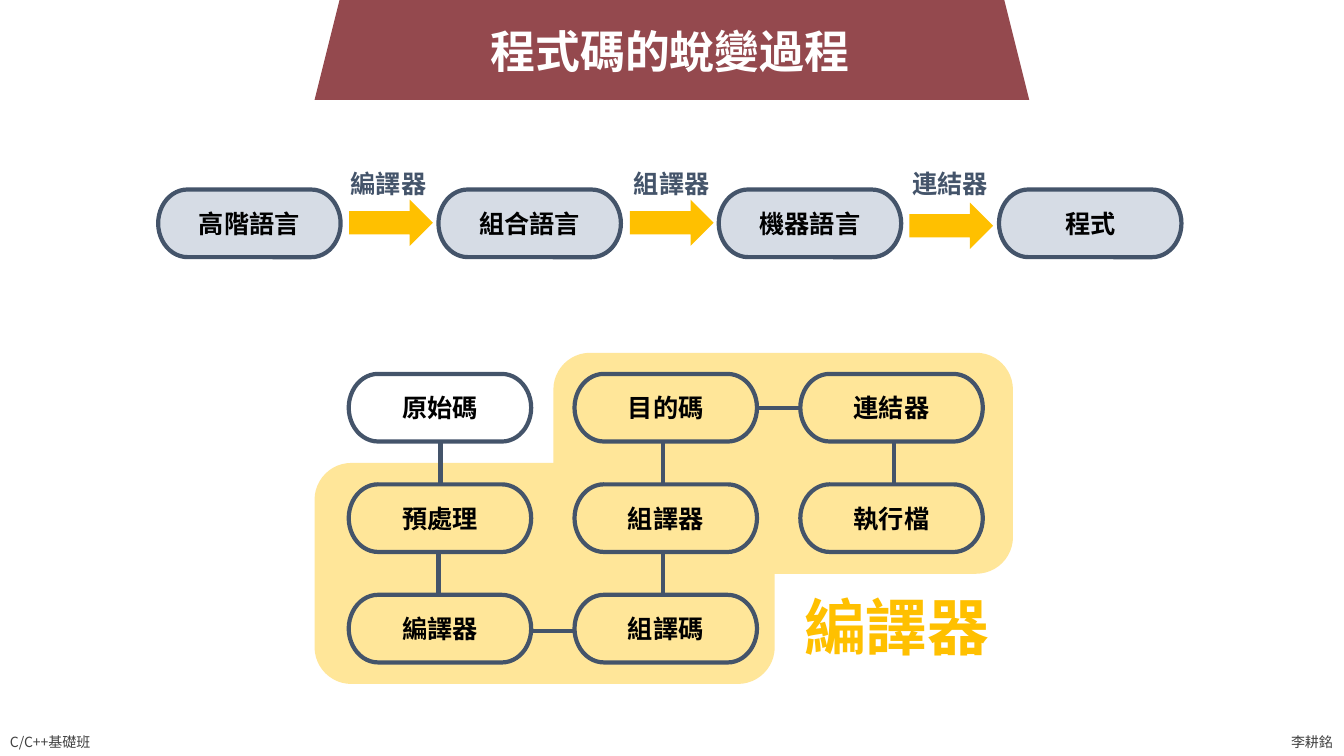
import pptx
import pptx.dml.color
import pptx.enum.shapes
import pptx.enum.text
import pptx.oxml.ns
import pptx.util
from lxml import etree

Pt = pptx.util.Pt
SHAPES = pptx.enum.shapes.MSO_SHAPE
ALIGN = pptx.enum.text.PP_ALIGN
ANCHOR = pptx.enum.text.MSO_ANCHOR

# Content: text, left, top, width, height, size, colour, bold
FONT = "Noto Sans CJK TC"
SLATE, GOLD, GREY = "44546A", "FFC000", "404040"
TEXTS = [
    ("程式碼的蛻變過程", 343.4, 13, 272.9, 46, 32, "FFFFFF", True),
    ("編譯器", 567.4, 416.9, 147.6, 60.5, 44, GOLD, True),
    ("C/C++基礎班", 0, 520.6, 77, 19.4, 10, GREY, False),
    ("李耕銘", 915.1, 520.6, 44.6, 19.4, 10, GREY, False),
]
STAGES = ["高階語言", "組合語言", "機器語言", "程式"]
# Tool, label left, arrow left, arrow top
TOOLS = [
    ("編譯器", 243.4, 249.4, 142.6),
    ("組譯器", 445.7, 450, 142.6),
    ("連結器", 644.4, 649.6, 144.7),
]
COLUMNS = [
    ["原始碼", "預處理", "編譯器"],
    ["目的碼", "組譯器", "組譯碼"],
    ["連結器", "執行檔"],
]
PANELS = [(395.3, 252, 328.3, 157.9), (224.7, 330.7, 328.7, 157.9)]
# Links down: x, row above; links across: y, column before
DOWN_LINKS = [(314.6, 0), (313.2, 1), (473.8, 0), (473.8, 1), (638.6, 0)]
ACROSS_LINKS = [(291.6, 1), (450.7, 0)]

# Layout
PILL_W, PILL_H = 130.3, 48.3
STAGE_LEFT, STAGE_TOP, STAGE_STEP = 113, 135.4, 200.2
GRID_LEFT, GRID_TOP, COLUMN_STEP, ROW_STEP = 249.1, 267.1, 161.3, 78.9

deck = pptx.Presentation()
deck.slide_width, deck.slide_height = Pt(960), Pt(540)
page = deck.slides.add_slide(deck.slide_layouts[6])


def colour(code):
    return pptx.dml.color.RGBColor.from_string(code)


def write(frame, text, size, code, bold=True, align=ALIGN.CENTER):
    frame.text = text
    frame.word_wrap = False
    frame.vertical_anchor = ANCHOR.MIDDLE
    para = frame.paragraphs[0]
    para.alignment = align
    span = para.runs[0]
    span.font.size, span.font.bold, span.font.name = Pt(size), bold, FONT
    span.font.color.rgb = colour(code)
    east_asian = etree.SubElement(span._r.get_or_add_rPr(), pptx.oxml.ns.qn("a:ea"))
    east_asian.set("typeface", FONT)


def add_text(text, left, top, width, height, size, code, bold=True):
    box = page.shapes.add_textbox(Pt(left), Pt(top), Pt(width), Pt(height))
    write(box.text_frame, text, size, code, bold, ALIGN.LEFT)


def add_shape(kind, left, top, width, height, fill=None, line=None):
    shape = page.shapes.add_shape(kind, Pt(left), Pt(top), Pt(width), Pt(height))
    shape.shadow.inherit = False
    if fill:
        shape.fill.solid()
        shape.fill.fore_color.rgb = colour(fill)
    else:
        shape.fill.background()
    if line:
        shape.line.color.rgb = colour(line)
        shape.line.width = Pt(3)
    else:
        shape.line.fill.background()
    return shape


def add_pill(text, left, top, fill=None):
    pill = add_shape(SHAPES.FLOWCHART_TERMINATOR, left, top, PILL_W, PILL_H, fill, SLATE)
    write(pill.text_frame, text, 18, "000000")


def add_link(x1, y1, x2, y2):
    link = page.shapes.add_connector(
        pptx.enum.shapes.MSO_CONNECTOR.STRAIGHT, Pt(x1), Pt(y1), Pt(x2), Pt(y2))
    link.line.color.rgb = colour(SLATE)
    link.line.width = Pt(3)
    etree.SubElement(link._element.spPr, pptx.oxml.ns.qn("a:effectLst"))


# Banner and yellow panels
add_shape(SHAPES.TRAPEZOID, 224.7, -16.6, 510.5, 87.9, "94494E")
for panel in PANELS:
    add_shape(SHAPES.ROUNDED_RECTANGLE, *panel, "FFE699")

# Stages from source language to program
for index, stage in enumerate(STAGES):
    add_pill(stage, STAGE_LEFT + index * STAGE_STEP, STAGE_TOP, "D6DCE5")
for tool, label_left, arrow_left, arrow_top in TOOLS:
    add_text(tool, label_left, 116.6, 69.1, 28.8, 18, SLATE)
    add_shape(SHAPES.RIGHT_ARROW, arrow_left, arrow_top, 59.8, 33.1, GOLD)

# Compiler steps
for column, steps in enumerate(COLUMNS):
    for row, step in enumerate(steps):
        add_pill(step, GRID_LEFT + column * COLUMN_STEP, GRID_TOP + row * ROW_STEP)

# Links between the steps
for x, row in DOWN_LINKS:
    top = GRID_TOP + row * ROW_STEP
    add_link(x, top + PILL_H, x, top + ROW_STEP)
for y, column in ACROSS_LINKS:
    left = GRID_LEFT + column * COLUMN_STEP
    add_link(left + PILL_W, y, left + COLUMN_STEP, y)

# Title, panel caption and footer
for entry in TEXTS:
    add_text(*entry)

deck.save("out.pptx")
